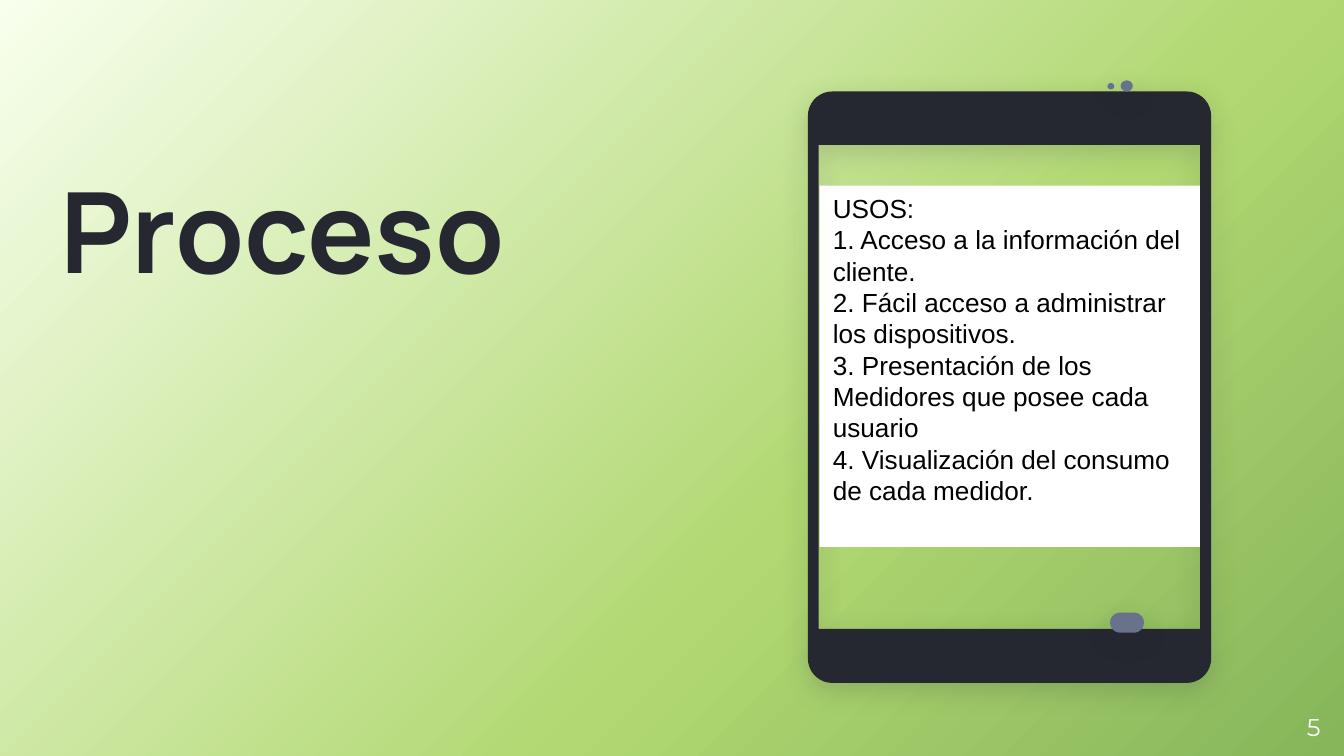
from math import cos, radians, sin

from pptx import Presentation
from pptx.dml.color import RGBColor
from pptx.enum.shapes import MSO_SHAPE
from pptx.enum.text import MSO_ANCHOR, PP_ALIGN
from pptx.oxml import parse_xml
from pptx.util import Cm, Pt

DARK = RGBColor(0x25, 0x28, 0x31)
SLATE = RGBColor(0x68, 0x72, 0x8D)
WHITE = RGBColor(0xFF, 0xFF, 0xFF)
BLACK = RGBColor(0x00, 0x00, 0x00)
PALE = RGBColor(0xF8, 0xFF, 0xED)
LIME = RGBColor(0xB1, 0xD8, 0x72)
GREEN = RGBColor(0x86, 0xB5, 0x5A)
NS = 'xmlns:a="http://schemas.openxmlformats.org/drawingml/2006/main"'

USES = [
    "USOS:",
    "1. Acceso a la información del cliente.",
    "2. Fácil acceso a administrar los dispositivos.",
    "3. Presentación de los Medidores que posee cada usuario",
    "4. Visualización del consumo de cada medidor.",
]


def write(shape, lines, frame, align, font):
    """Fill a shape with paragraphs that share one format."""
    text = shape.text_frame
    text.text = "\n".join(lines)
    for key, value in frame.items():
        setattr(text, key, value)
    for para in text.paragraphs:
        para.alignment = align
        para.font.color.rgb = font["color"]
        for key in ("name", "size", "bold"):
            setattr(para.font, key, font[key])


def paint(shape, color):
    """Give a tablet part its flat fill and soft shadow."""
    shape.fill.solid()
    shape.fill.fore_color.rgb = color
    shape.line.fill.background()
    shape.shadow.inherit = False
    effects = shape.element.spPr.find("{*}effectLst")
    effects.append(parse_xml(
        f'<a:outerShdw {NS} blurRad="{Pt(14.6)}" dist="{Pt(3.8)}" dir="5400000"'
        f' algn="bl" rotWithShape="0"><a:srgbClr val="{DARK}">'
        '<a:alpha val="19000"/></a:srgbClr></a:outerShdw>'))


deck = Presentation()
deck.slide_width, deck.slide_height = Cm(25.4), Cm(14.29)
slide = deck.slides.add_slide(deck.slide_layouts[0])
shapes = slide.shapes

# Background gradient
slide.background.fill.solid()
flat = slide.element.find(".//{*}bgPr/{*}solidFill")
stops = "".join(
    f'<a:gs pos="{pos * 1000}"><a:srgbClr val="{color}"/></a:gs>'
    for pos, color in ((0, PALE), (62, LIME), (100, GREEN)))
flat.getparent().replace(flat, parse_xml(
    f'<a:gradFill {NS} rotWithShape="1"><a:gsLst>{stops}</a:gsLst>'
    '<a:path path="circle"><a:fillToRect r="100000" b="100000"/></a:path>'
    '</a:gradFill>'))

# Title and page number
bare = dict.fromkeys(
    ("margin_left", "margin_top", "margin_right", "margin_bottom"), 0)
title = shapes.title
place = {"left": 1.14, "top": 2.36, "width": 15.98, "height": 3.23}
for key, value in place.items():
    setattr(title, key, Cm(value))
write(title, ["Proceso"],
      {**bare, "vertical_anchor": MSO_ANCHOR.BOTTOM, "word_wrap": True},
      PP_ALIGN.LEFT,
      {"name": "Manrope", "size": Pt(60), "bold": True, "color": DARK})
extra = slide.placeholders[1].element
extra.getparent().remove(extra)

page = shapes.add_textbox(Cm(24.26), Cm(13.16), Cm(1.14), Cm(1.14))
write(page, ["5"],
      {**bare, "vertical_anchor": MSO_ANCHOR.MIDDLE, "word_wrap": True},
      PP_ALIGN.CENTER,
      {"name": "Montserrat", "size": Pt(13), "bold": False, "color": WHITE})

# Tablet body: rounded outline around an open screen
left, top, right, bottom, radius = 15.27, 1.73, 22.89, 12.91, 0.46
corners = [
    (right - radius, bottom - radius, 0),
    (left + radius, bottom - radius, 90),
    (left + radius, top + radius, 180),
    (right - radius, top + radius, 270),
]
rim = [
    (Cm(x + radius * cos(radians(start + step))),
     Cm(y + radius * sin(radians(start + step))))
    for x, y, start in corners for step in range(0, 91, 10)
]
screen = [(Cm(x), Cm(y)) for x, y in (
    (22.68, 2.74), (22.68, 11.89), (15.47, 11.89), (15.47, 2.74))]
pen = shapes.build_freeform(*screen[0])
pen.add_line_segments(screen[1:], close=True)
pen.move_to(*rim[0])
pen.add_line_segments(rim[1:], close=True)
paint(pen.convert_to_shape(), DARK)

# Home button, sensor and camera
for kind, *box in (
    (MSO_SHAPE.ROUNDED_RECTANGLE, 20.98, 11.58, 0.64, 0.38),
    (MSO_SHAPE.OVAL, 20.93, 1.57, 0.13, 0.12),
    (MSO_SHAPE.OVAL, 21.18, 1.52, 0.23, 0.21),
):
    part = shapes.add_shape(kind, *map(Cm, box))
    if kind == MSO_SHAPE.ROUNDED_RECTANGLE:
        part.adjustments[0] = 0.5
    paint(part, SLATE)

# List of uses on the screen
card = shapes.add_shape(
    MSO_SHAPE.RECTANGLE, Cm(15.49), Cm(3.51), Cm(7.19), Cm(6.83))
card.fill.solid()
card.fill.fore_color.rgb = WHITE
card.line.fill.background()
card.shadow.inherit = False
write(card, USES,
      {"vertical_anchor": MSO_ANCHOR.TOP, "word_wrap": True},
      PP_ALIGN.LEFT,
      {"name": "Arial", "size": Pt(14), "bold": False, "color": BLACK})

deck.save("out.pptx")
